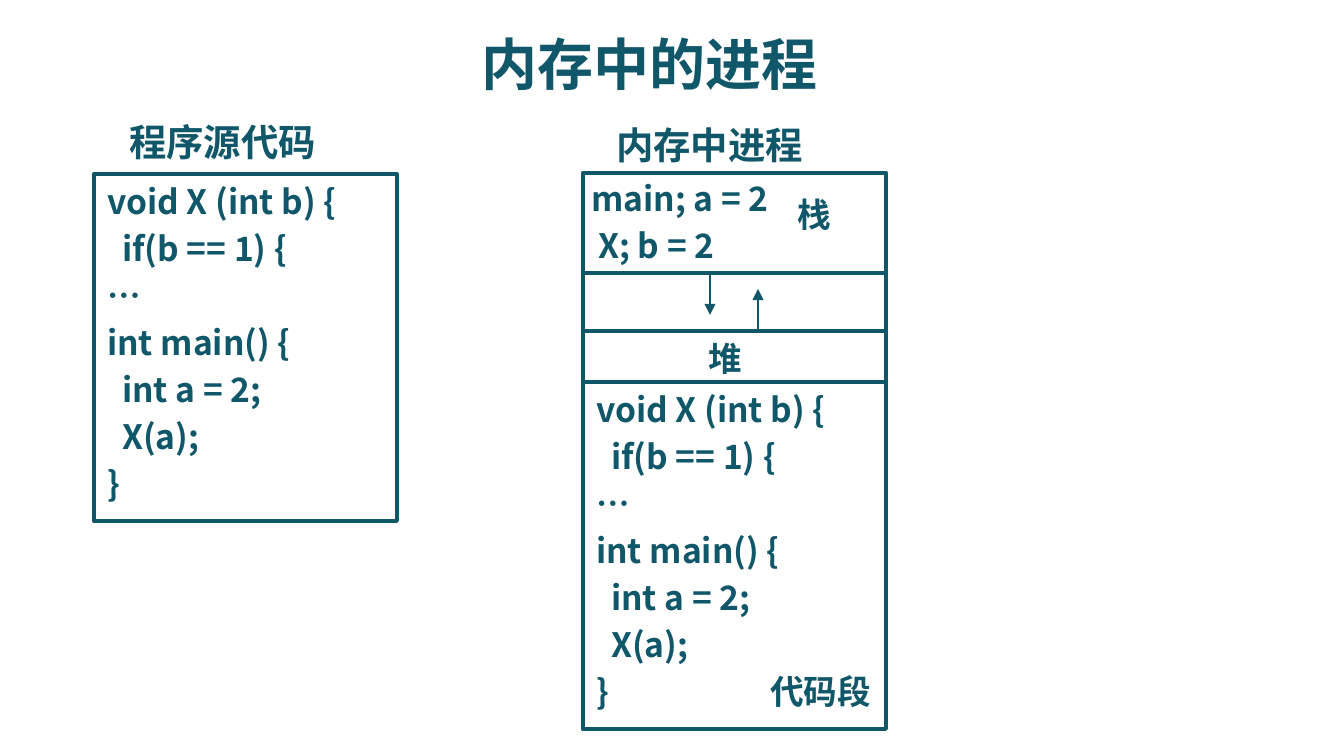
from lxml import etree
from pptx import Presentation
from pptx import util as u
from pptx.dml.color import RGBColor
from pptx.enum import shapes, text
from pptx.oxml.ns import qn

SCALE = 914400 / 134.4
FONT = "Noto Sans CJK SC"
COLORS = {"ink": "11576A", "paper": "FFFFFF"}
CODE = [
    ("void X (int b) {", 0),
    ("if(b == 1) {", 1),
    ("…", 0),
    ("int main() {", 0),
    ("int a = 2;", 1),
    ("X(a);", 1),
    ("}", 0),
]
CODE_INDENT = 15
MEMORY_X, BLOCK_W, CODE_H = 583, 303, 347
STACK_Y, GAP_Y, HEAP_Y, CODE_Y = 173, 273, 331, 382


def px(*values):
    return [u.Emu(round(v * SCALE)) for v in values]


def color(name):
    return RGBColor.from_string(COLORS[name])


def style_paragraph(p, size, align=text.PP_ALIGN.LEFT):
    p.alignment = align
    p.font.name = FONT
    p.font.size = u.Pt(size)
    p.font.bold = True
    p.font.color.rgb = color("ink")
    props = p._p.pPr.find(qn("a:defRPr"))
    east_asian = etree.Element(qn("a:ea"), typeface=FONT)
    props.find(qn("a:latin")).addnext(east_asian)


def add_title(s, title, box):
    sp = s.shapes.title
    sp.left, sp.top, sp.width, sp.height = px(*box)
    tf = sp.text_frame
    tf.text = title
    tf.vertical_anchor = text.MSO_ANCHOR.MIDDLE
    style_paragraph(tf.paragraphs[0], 30, text.PP_ALIGN.CENTER)


def add_block(s, box, filled=True):
    sp = s.shapes.add_shape(shapes.MSO_SHAPE.RECTANGLE, *px(*box))
    sp.shadow.inherit = False
    if filled:
        sp.fill.solid()
        sp.fill.fore_color.rgb = color("paper")
    else:
        sp.fill.background()
    sp.line.color.rgb = color("ink")
    sp.line.width = u.Pt(2.25)
    return sp


def add_code(s, x, y):
    tf = add_block(s, (x, y, BLOCK_W, CODE_H)).text_frame
    tf.word_wrap = True
    tf.vertical_anchor = text.MSO_ANCHOR.TOP
    for i, (line, depth) in enumerate(CODE):
        p = tf.add_paragraph() if i else tf.paragraphs[0]
        p.text = line
        p.space_before = u.Pt(3.6)
        style_paragraph(p, 18)
        if depth:
            p._p.pPr.set("marL", str(px(depth * CODE_INDENT)[0]))


def add_label(s, label, box, size=18, wrap=False):
    tf = s.shapes.add_textbox(*px(*box)).text_frame
    tf.word_wrap = wrap
    if not wrap:
        tf.auto_size = text.MSO_AUTO_SIZE.SHAPE_TO_FIT_TEXT
    tf.text = label
    style_paragraph(tf.paragraphs[0], size)


def add_arrow(s, x, start, end):
    line = s.shapes.add_connector(
        shapes.MSO_CONNECTOR.STRAIGHT, *px(x, start, x, end))
    line.line.color.rgb = color("ink")
    line.line.width = u.Pt(1.5)
    etree.SubElement(line.line._get_or_add_ln(), qn("a:tailEnd"), type="triangle")
    etree.SubElement(line._element.spPr, qn("a:effectLst"))


def main():
    prs = Presentation()
    prs.slide_width, prs.slide_height = px(1344, 756)
    s = prs.slides.add_slide(prs.slide_layouts[5])
    add_title(s, "内存中的进程", (413, 0, 473, 126))

    add_label(s, "程序源代码", (116, 113, 422, 48), 20, True)
    add_code(s, 94, 174)

    add_label(s, "内存中进程", (603, 116, 422, 48), 20, True)
    add_block(s, (MEMORY_X, GAP_Y, BLOCK_W, CODE_Y - GAP_Y))
    add_block(s, (MEMORY_X, STACK_Y, BLOCK_W, GAP_Y - STACK_Y))
    add_block(s, (MEMORY_X, HEAP_Y, BLOCK_W, CODE_Y - HEAP_Y), False)
    add_code(s, MEMORY_X, CODE_Y)
    add_arrow(s, 758, 332, 289)
    add_arrow(s, 710, 272, 315)

    for label, x, y, w in [
        ("main; a = 2", 578, 171, 219),
        ("X; b = 2", 585, 218, 161),
        ("栈", 784, 187, 63),
        ("堆", 695, 331, 63),
        ("代码段", 757, 664, 129),
    ]:
        add_label(s, label, (x, y, w, 54))

    prs.save("out.pptx")


if __name__ == "__main__":
    main()
